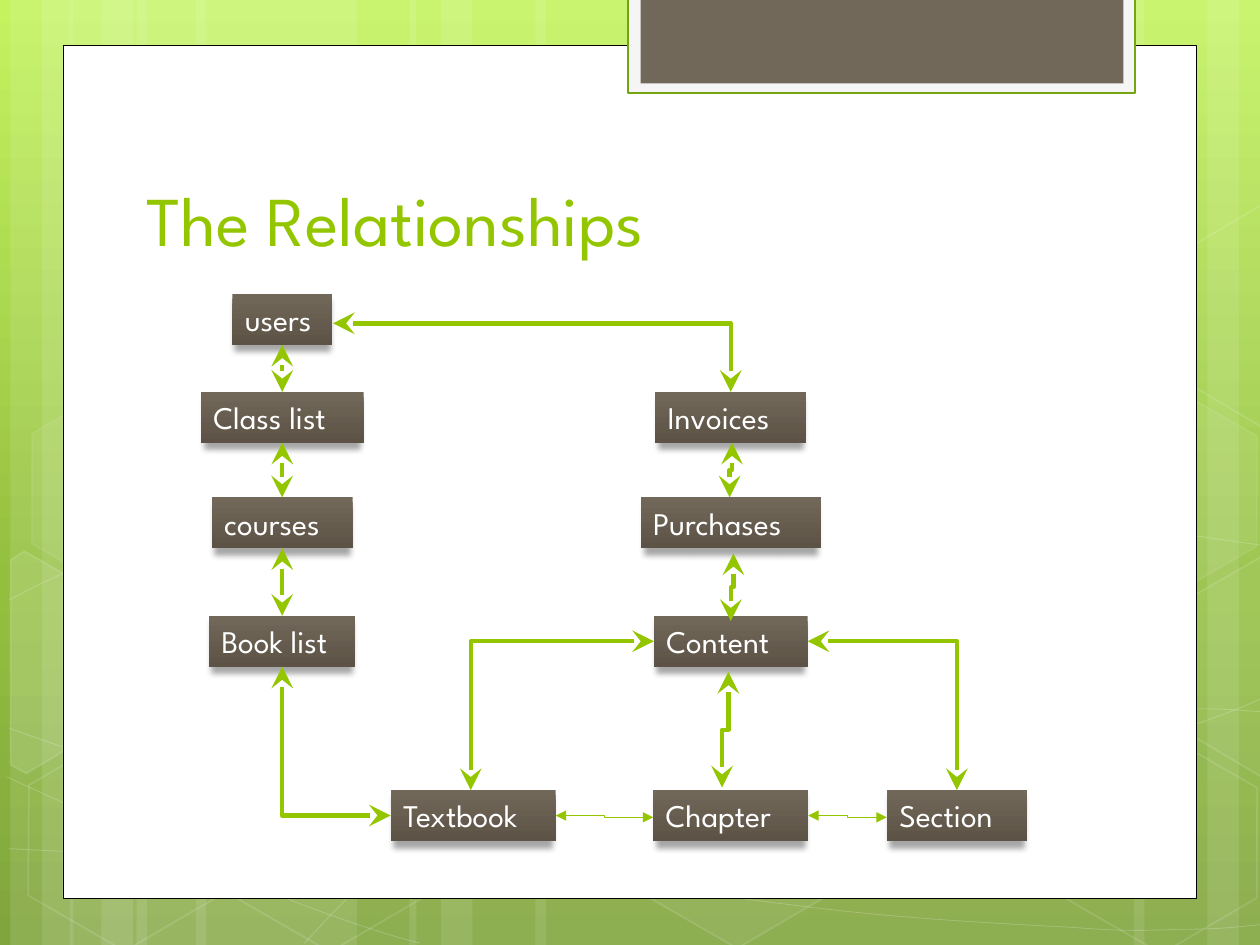
import dataclasses

import lxml.etree
import pptx
import pptx.dml.color
import pptx.enum.shapes
import pptx.enum.text
import pptx.oxml.ns
import pptx.util

Pt = pptx.util.Pt
qn = pptx.oxml.ns.qn
SHAPES = pptx.enum.shapes.MSO_SHAPE
TOP, LEFT, BOTTOM, RIGHT = range(4)


@dataclasses.dataclass(frozen=True)
class Theme:
    font: str = "League Spartan"
    title_size: float = 40
    node_size: float = 18
    accent: str = "94C600"
    white: str = "FFFFFF"
    black: str = "000000"
    tab: str = "71685A"
    tab_frame: str = "F5F5F5"
    tab_edge: str = "74A510"
    backdrop: tuple = ((0, "C3F35F"), (62, "93BF3F"), (100, "81A53E"))
    node: tuple = ((0, "71685A"), (100, "5C5346"))


@dataclasses.dataclass(frozen=True)
class Box:
    left: float
    top: float
    width: float
    height: float


THEME = Theme()


def rgb(value):
    return pptx.dml.color.RGBColor.from_string(value)


def child(parent, tag, **attributes):
    return lxml.etree.SubElement(parent, qn(tag), {k: str(v) for k, v in attributes.items()})


def fade(parent, percent):
    if percent < 100:
        child(parent.find(qn("a:solidFill"))[0], "a:alpha", val=percent * 1000)


def paint_gradient(fill, owner, stops):
    fill.gradient()
    fill.gradient_angle = 270
    stop_list = owner.find(".//" + qn("a:gsLst"))
    for old in list(stop_list):
        stop_list.remove(old)
    for position, color in stops:
        child(child(stop_list, "a:gs", pos=position * 1000), "a:srgbClr", val=color)


def dress(shape, fill=None, fill_alpha=100, line=None, weight=1, line_alpha=100):
    shape.shadow.inherit = False
    if fill:
        shape.fill.solid()
        shape.fill.fore_color.rgb = rgb(fill)
        fade(shape.element.spPr, fill_alpha)
    else:
        shape.fill.background()
    if line:
        shape.line.color.rgb = rgb(line)
        shape.line.width = Pt(weight)
        fade(shape.element.spPr.find(qn("a:ln")), line_alpha)
    else:
        shape.line.fill.background()


def add_block(slide, box, kind=SHAPES.RECTANGLE):
    return slide.shapes.add_shape(kind, Pt(box.left), Pt(box.top), Pt(box.width), Pt(box.height))


def add_outline(slide, points, closed):
    builder = slide.shapes.build_freeform(*points[0], scale=12700)
    builder.add_line_segments(points[1:], close=closed)
    return builder.convert_to_shape()


def add_curve(slide, points):
    curve = add_outline(slide, points, False)
    outline = curve.element.find(".//" + qn("a:pathLst"))[0]
    segments = outline.findall(qn("a:lnTo"))
    for start in range(0, len(segments), 3):
        bezier = child(outline, "a:cubicBezTo")
        for segment in segments[start:start + 3]:
            bezier.append(segment[0])
            outline.remove(segment)
    return curve


def add_bands(slide, box):
    for edge, wide, mirrored in ((6, 126, False), (40, 126, False), (6, 126, True), (234, 222, False)):
        for offset, width in ((72, wide), (0, 36), (18, 60)):
            left = box.width + 6 - offset - width if mirrored else edge + offset
            dress(add_block(slide, Box(box.left + left, box.top, width, box.height)), THEME.white, 10)


def add_swirls(slide, box):
    swirls = (
        ((5, 485), (44, 487), (83, 489), (137, 488), (191, 487), (258, 486), (330, 479),
         (402, 472), (504, 458), (570, 444), (636, 431), (703, 409), (725, 397)),
        ((5, 343), (26, 332), (47, 321), (87, 310), (128, 300), (186, 284), (250, 279),
         (314, 274), (392, 273), (471, 279), (550, 284), (682, 307), (725, 312)),
        ((4, 444), (91, 484), (178, 523), (240, 539)),
        ((5, 416), (27, 424), (50, 432), (92, 444), (134, 454), (197, 472), (257, 485),
         (317, 497), (392, 510), (452, 517), (512, 525), (576, 528), (614, 530),
         (652, 533), (662, 531), (680, 531), (699, 531), (712, 529), (725, 528)),
        ((174, 539), (187, 525), (200, 510), (217, 498), (235, 485), (259, 470), (279, 460),
         (300, 450), (312, 446), (338, 438), (364, 431), (413, 421), (438, 416),
         (464, 411), (467, 411), (490, 410), (512, 408), (547, 405), (572, 405),
         (597, 404), (638, 405), (638, 405), (654, 405), (670, 405), (686, 405),
         (699, 405), (711, 406), (724, 407)),
    )
    for swirl in swirls:
        placed = [(box.left + x, box.top + y) for x, y in swirl]
        dress(add_curve(slide, placed), line=THEME.white, weight=0.5, line_alpha=20)


def add_hexagons(slide, box):
    whole = ((358, 424, 6, 12), (8, 425.5, 0, 12), (10, 224.5, 7, 8),
             (125.3, 426, 0, 12), (600.5, 427, 0, 12), (600.5, 226, 7, 8))
    for left, top, fill_alpha, line_alpha in whole:
        hexagon = add_block(slide, Box(box.left + left, box.top + top, 126, 109.4), SHAPES.HEXAGON)
        hexagon.adjustments[0] = 0.285
        hexagon.adjustments[1] = 1.155
        hexagon.rotation = 30
        dress(hexagon, THEME.white if fill_alpha else None, fill_alpha, THEME.white, 1, line_alpha)
    right_cut = ((0, 31.5), (54, 0), (60, 3.5), (60, 124), (54.5, 127), (0, 95))
    left_cut = ((0, 5), (8, 0), (63.5, 31.7), (63, 95), (9, 126.7), (0, 121.7))
    for left, top, corners, fill_alpha in ((6, 315.4, left_cut, 10), (666.7, 317.5, right_cut, 4),
                                           (666.7, 117.4, right_cut, 0)):
        placed = [(box.left + left + x, box.top + top + y) for x, y in corners]
        dress(add_outline(slide, placed, True), THEME.white if fill_alpha else None,
              fill_alpha, THEME.white, 1, 12)


def add_panel(slide, box):
    dress(add_block(slide, box), THEME.white, line=THEME.black, weight=0.5)
    tab_left, tab_top = box.left + 323, box.top - 27.4
    dress(add_block(slide, Box(tab_left, tab_top, 289.6, 54.7)), THEME.tab_frame, line=THEME.tab_edge, weight=1.25)
    dress(add_block(slide, Box(tab_left + 7, tab_top, 276, 49)), THEME.tab)


def move_to_master(slide, master):
    decorations = [shape.element for shape in slide.shapes if not shape.is_placeholder]
    for position, decoration in enumerate(decorations):
        decoration.find(".//" + qn("p:cNvPr")).set("id", str(100 + position))
        master.shapes.element.insert(2 + position, decoration)


def add_title(slide, box):
    title = slide.shapes.title
    title.left, title.top, title.width, title.height = map(Pt, dataclasses.astuple(box))
    title.text_frame.text = "The Relationships"
    title.text_frame.vertical_anchor = pptx.enum.text.MSO_ANCHOR.BOTTOM
    style_text(title, THEME.title_size, THEME.accent)


def style_text(shape, size, color):
    shape.text_frame.word_wrap = True
    paragraph = shape.text_frame.paragraphs[0]
    paragraph.alignment = pptx.enum.text.PP_ALIGN.LEFT
    font = paragraph.runs[0].font
    font.name, font.size, font.color.rgb = THEME.font, Pt(size), rgb(color)


def add_node(slide, label, box):
    node = add_block(slide, box)
    paint_gradient(node.fill, node.element.spPr, THEME.node)
    node.line.fill.background()
    node.shadow.inherit = False
    shadow = child(node.element.spPr.find(qn("a:effectLst")), "a:outerShdw", blurRad=Pt(3.5),
                   dist=Pt(4), dir=5400000, sx=96000, rotWithShape=0)
    child(child(shadow, "a:srgbClr", val=THEME.black), "a:alpha", val=34000)
    node.text_frame.text = label
    node.text_frame.vertical_anchor = pptx.enum.text.MSO_ANCHOR.TOP
    style_text(node, THEME.node_size, THEME.white)
    return node


def side_point(node, side, shift):
    across, down = {TOP: (1, 0), LEFT: (0, 1), BOTTOM: (1, 2), RIGHT: (2, 1)}[side]
    return (node.left + node.width * across // 2 + Pt(shift[0]),
            node.top + node.height * down // 2 + Pt(shift[1]))


def add_link(slide, start, start_side, end, end_side, start_shift=(0, 0), end_shift=(0, 0),
             weight=2.5, arrow="stealth", arrow_size="lg"):
    link = slide.shapes.add_connector(
        pptx.enum.shapes.MSO_CONNECTOR.ELBOW,
        *side_point(start, start_side, start_shift), *side_point(end, end_side, end_shift))
    if start_shift == end_shift:
        link.begin_connect(start, start_side)
        link.end_connect(end, end_side)
    link.line.color.rgb = rgb(THEME.accent)
    link.line.width = Pt(weight)
    for tag in ("a:headEnd", "a:tailEnd"):
        child(link.element.spPr.find(qn("a:ln")), tag, type=arrow, w=arrow_size, len=arrow_size)
    child(link.element.spPr, "a:effectLst")
    return link


def add_corner(slide, *ends):
    link = add_link(slide, *ends)
    link.element.spPr.find(qn("a:prstGeom")).set("prst", "bentConnector2")


def add_drop(slide, upper, lower, *shifts):
    link = add_link(slide, upper, BOTTOM, lower, TOP, *shifts)
    center_x, center_y = link.left + link.width // 2, link.top + link.height // 2
    length, jog = link.height, link.width
    link.left, link.top = center_x - length // 2, center_y - jog // 2
    link.width, link.height = length, jog
    xfrm = link.element.spPr.find(qn("a:xfrm"))
    for flip in ("flipH", "flipV"):
        xfrm.attrib.pop(flip, None)
    xfrm.set("rot", "5400000")


def add_diagram(slide, box):
    columns = {"class": 46.8, "textbook": 155.9, "content": 303.1, "section": 432.3}
    rows = (0, 55.9, 116.2, 183.9, 283.5)
    layout = (("users", "class", 0, 57), ("Class list", "class", 1, 93),
              ("courses", "class", 2, 80.6), ("Book list", "class", 3, 83.5),
              ("Invoices", "content", 1, 86.4), ("Purchases", "content", 2, 103),
              ("Content", "content", 3, 87.8), ("Textbook", "textbook", 4, 94.3),
              ("Chapter", "content", 4, 88.6), ("Section", "section", 4, 80))
    nodes = {}
    for label, column, row, width in layout:
        place = Box(box.left + columns[column] - width / 2, box.top + rows[row], width, 29.1)
        nodes[label] = add_node(slide, label, place)
    for start, start_side, end, end_side, *shifts in (
            ("users", RIGHT, "Invoices", TOP, (0.5, 2.2), (0, 0)),
            ("Textbook", LEFT, "Book list", BOTTOM),
            ("Content", LEFT, "Textbook", TOP, (0, 0), (-1.4, 0)),
            ("Content", RIGHT, "Section", TOP)):
        add_corner(slide, nodes[start], start_side, nodes[end], end_side, *shifts)
    for upper, lower, *shifts in (
            ("users", "Class list"), ("Class list", "courses"), ("courses", "Book list"),
            ("Invoices", "Purchases", (0.7, 0), (-0.7, 0)),
            ("Purchases", "Content", (1.5, 3), (0, 3)),
            ("Content", "Chapter", (-1.4, 3), (-5, -1.5))):
        add_drop(slide, nodes[upper], nodes[lower], *shifts)
    for start, end in (("Textbook", "Chapter"), ("Chapter", "Section")):
        add_link(slide, nodes[start], RIGHT, nodes[end], LEFT, (0, 0), (0, 1), 0.75, "triangle", "med")


def main():
    deck = pptx.Presentation()
    deck.slide_width, deck.slide_height = Pt(720), Pt(540)
    slide = deck.slides.add_slide(deck.slide_layouts[5])
    page = Box(0, 0, 720, 540)
    paint_gradient(deck.slide_master.background.fill, deck.slide_master.element, THEME.backdrop)
    add_bands(slide, page)
    add_swirls(slide, page)
    add_hexagons(slide, page)
    add_panel(slide, Box(36, 26, 648, 487.2))
    move_to_master(slide, deck.slide_master)
    add_title(slide, Box(76.3, 62.6, 553, 90))
    add_diagram(slide, Box(114.5, 168, 473, 313))
    deck.save("out.pptx")


if __name__ == "__main__":
    main()
